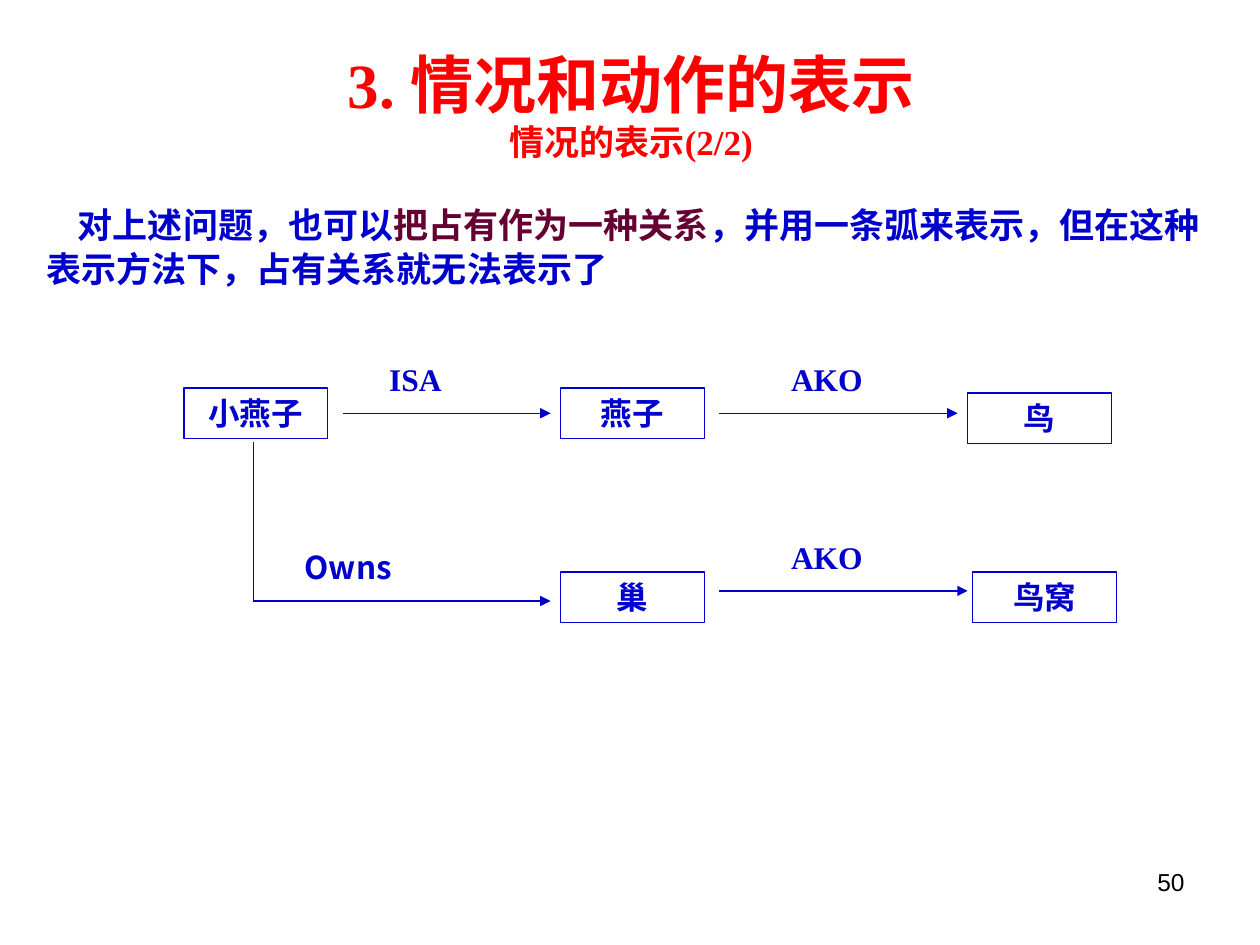
import pptx
import pptx.util
from pptx.dml.color import RGBColor
from pptx.enum.shapes import MSO_CONNECTOR, MSO_SHAPE
from pptx.enum.text import MSO_ANCHOR, PP_ALIGN
from pptx.oxml.ns import qn
from lxml import etree

Inches, Pt = pptx.util.Inches, pptx.util.Pt

BLUE = RGBColor(0x00, 0x00, 0xCC)
RED = RGBColor(0xFF, 0x00, 0x00)
PLUM = RGBColor(0x66, 0x00, 0x33)
BLACK = RGBColor(0x00, 0x00, 0x00)
SERIF, SANS, CJK = "Times New Roman", "Arial", "Noto Sans CJK SC"

TITLE = [("3. 情况和动作的表示", 36), ("情况的表示(2/2)", 20)]
STATEMENT = [
    ("对上述问题，也可以", BLUE),
    ("把占有作为一种关系", PLUM),
    ("，并用一条弧来表示，但在这种表示方法下，占有关系就无法表示了", BLUE),
]
PAGE_NUMBER = "50"

NODE_WIDTH, NODE_HEIGHT = 1.14, 0.4
NODES = [
    ("小燕子", 1.46, 3.08),
    ("燕子", 4.45, 3.08),
    ("鸟", 7.68, 3.12),
    ("巢", 4.45, 4.54),
    ("鸟窝", 7.72, 4.54),
]
RELATIONS = [
    ("ISA", 2.99, 2.81, 0.87, SERIF),
    ("AKO", 6.18, 2.81, 0.87, SERIF),
    ("Owns", 2.32, 4.3, 1.1, CJK),
    ("AKO", 6.18, 4.22, 0.87, SERIF),
]
ARCS = [
    ((2.72, 3.28), (4.37, 3.28), True),
    ((5.71, 3.28), (7.6, 3.28), True),
    ((2.01, 4.77), (4.37, 4.77), True),
    ((5.71, 4.69), (7.68, 4.69), True),
    ((2.01, 3.51), (2.01, 4.77), False),
]


def style(font, size, name, color, bold=True):
    font.size, font.name, font.bold = Pt(size), name, bold
    font.color.rgb = color


def add_text_box(slide, left, top, width, height, align=PP_ALIGN.LEFT):
    box = slide.shapes.add_textbox(*map(Inches, (left, top, width, height)))
    box.text_frame.word_wrap = True
    paragraph = box.text_frame.paragraphs[0]
    paragraph.alignment = align
    return box.text_frame, paragraph


def add_title(slide):
    frame, paragraph = add_text_box(slide, 0.51, 0.25, 9, 1.15, PP_ALIGN.CENTER)
    frame.vertical_anchor = MSO_ANCHOR.MIDDLE
    for index, (text, size) in enumerate(TITLE):
        if index:
            paragraph.add_line_break()
        run = paragraph.add_run()
        run.text = text
        style(run.font, size, SERIF, RED)


def add_statement(slide):
    _, paragraph = add_text_box(slide, 0.27, 1.55, 9.53, 0.8)
    paragraph.line_spacing = 1.05
    paragraph._p.get_or_add_pPr().set("indent", str(Inches(0.25)))
    for text, color in STATEMENT:
        run = paragraph.add_run()
        run.text = text
        style(run.font, 20, SERIF, color)


def add_node(slide, text, left, top):
    node = slide.shapes.add_shape(
        MSO_SHAPE.RECTANGLE, *map(Inches, (left, top, NODE_WIDTH, NODE_HEIGHT)))
    node.shadow.inherit = False
    node.fill.background()
    node.line.color.rgb = BLUE
    node.line.width = Pt(0.75)
    frame = node.text_frame
    frame.word_wrap = True
    frame.vertical_anchor = MSO_ANCHOR.TOP
    frame.margin_left = frame.margin_right = Inches(0.02)
    paragraph = frame.paragraphs[0]
    paragraph.text = text
    paragraph.alignment = PP_ALIGN.CENTER
    style(paragraph.font, 18, SANS, BLUE)


def add_arc(slide, start, end, arrow):
    arc = slide.shapes.add_connector(
        MSO_CONNECTOR.STRAIGHT, *map(Inches, start + end))
    arc.line.color.rgb = BLUE
    arc.line.width = Pt(0.75)
    if arrow:
        etree.SubElement(arc.line._get_or_add_ln(), qn("a:tailEnd"), type="triangle")
    etree.SubElement(arc._element.spPr, qn("a:effectLst"))


def add_label(slide, text, bounds, size, name, color, bold=True, align=PP_ALIGN.LEFT):
    _, paragraph = add_text_box(slide, *bounds, align)
    paragraph.text = text
    style(paragraph.font, size, name, color, bold)


def main():
    deck = pptx.Presentation()
    deck.slide_width, deck.slide_height = Inches(10), Inches(7.5)
    slide = deck.slides.add_slide(deck.slide_layouts[6])
    add_label(slide, PAGE_NUMBER, (7.17, 6.83, 2.33, 0.52), 14, SANS, BLACK,
              False, PP_ALIGN.RIGHT)
    add_title(slide)
    for arc in ARCS:
        add_arc(slide, *arc)
    for text, left, top, width, name in RELATIONS:
        add_label(slide, text, (left, top, width, 0.4), 18, name, BLUE)
    for node in NODES:
        add_node(slide, *node)
    add_statement(slide)
    deck.save("out.pptx")


if __name__ == "__main__":
    main()
